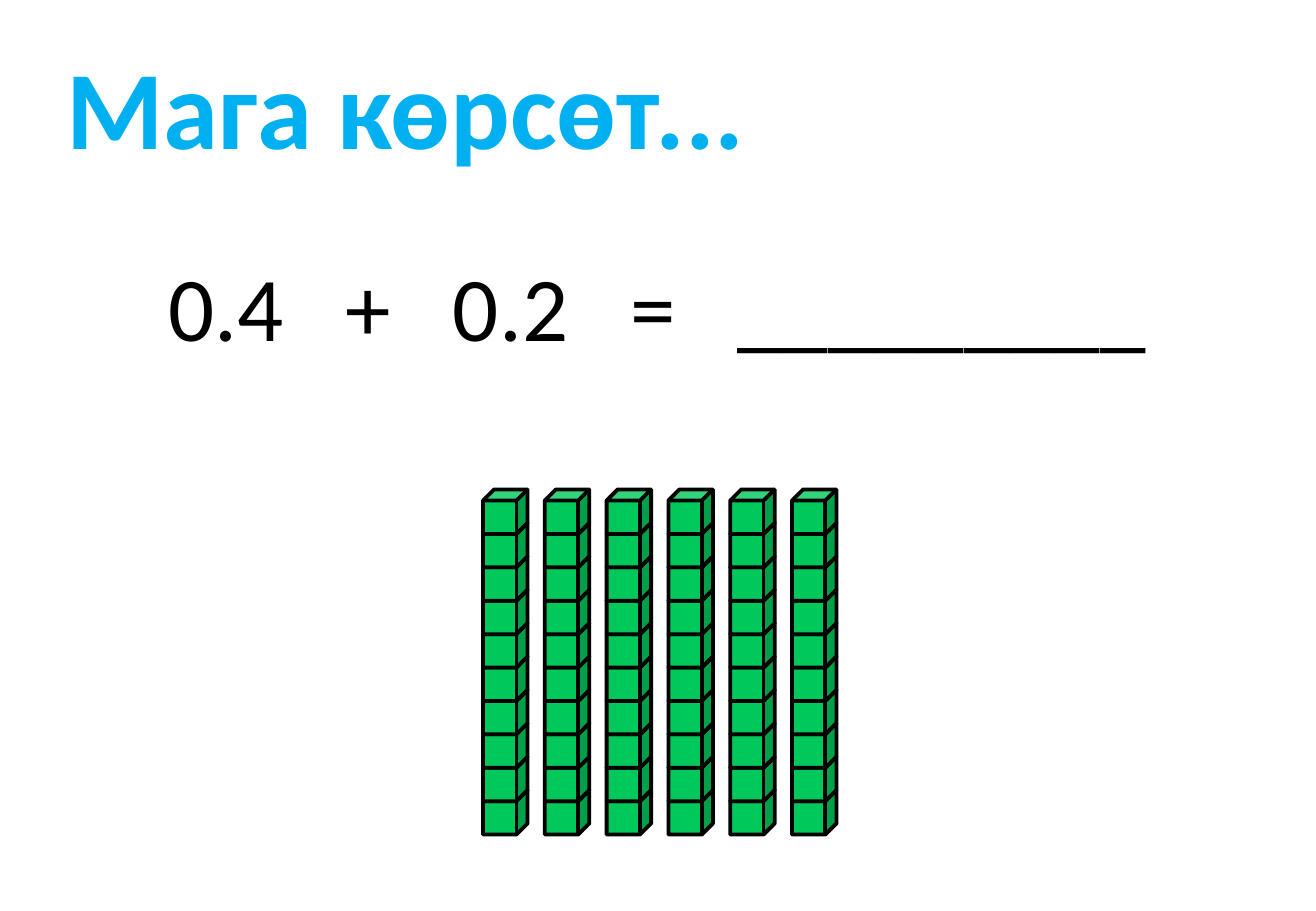
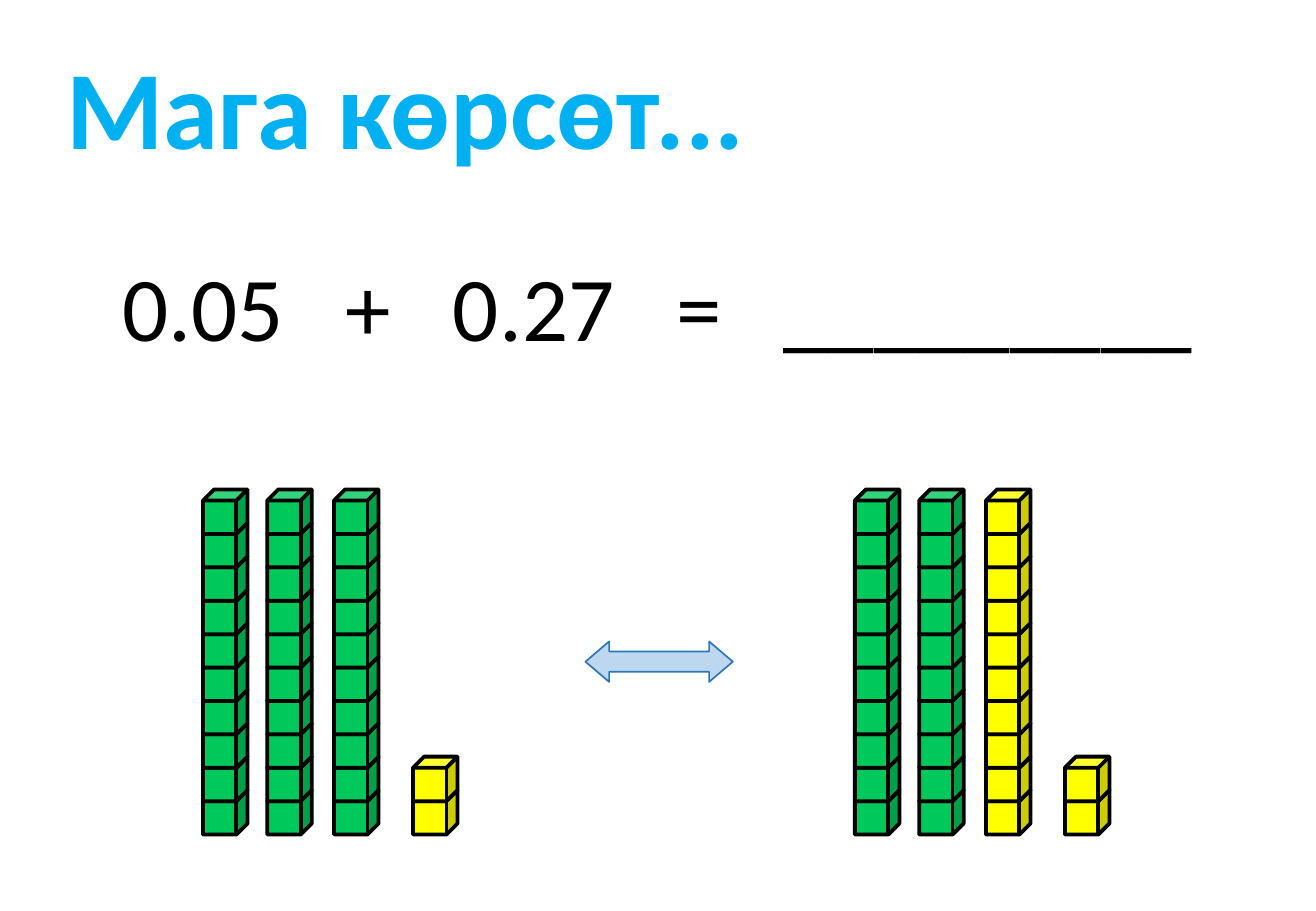
from lxml.etree import SubElement
from pptx import Presentation
from pptx.dml.color import RGBColor as RGB
from pptx.enum.shapes import MSO_SHAPE as Shape
from pptx.enum.text import MSO_ANCHOR as Anchor, PP_ALIGN as Align
from pptx.oxml.ns import qn
from pptx.util import Pt

HUES = {"title": "00B0F0", "text": "000000", "green": "00C85A",
        "yellow": "FFFF00", "arrow": "BDD7EE", "edge": "2E75B6"}
FONT = "Calibri"
CUBE = 26.4
STEP = CUBE * 0.75   # a stacked cube hides the top face of the one below
BASE = 468.3         # top of the lowest cube
DIGIT = 27.4         # width of one digit at 54 pt


def style(frame, size, hue, bold=False):
    for run in frame.paragraphs[0].runs:
        font = run.font
        font.name, font.size, font.bold = FONT, Pt(size), bold
        font.color.rgb = RGB.from_string(HUES[hue])


def draw(shapes, kind, box, fill, line, width):
    """Add a filled and outlined preset shape; box is in points."""
    item = shapes.add_shape(kind, *map(Pt, box))
    item.shadow.inherit = False
    item.fill.solid()
    item.fill.fore_color.rgb = RGB.from_string(HUES[fill])
    item.line.color.rgb = RGB.from_string(HUES[line])
    item.line.width = Pt(width)
    return item


# Each rod: left edge, number of cubes, colour
tenths = [(286.3 + 36.62 * i, 10, "green") for i in range(6)]
spots = [120.3, 158.4, 198, 244.8]
mixed = [(left + shift, count, hue)
         for shift, third in ((0, "green"), (386.4, "yellow"))
         for left, count, hue in zip(spots, (10, 10, 10, 2),
                                     ("green", "green", third, "yellow"))]
TASKS = [("0.4", "0.2", tenths), ("0.05", "0.27", mixed)]

deck = Presentation()
deck.slide_width, deck.slide_height = Pt(780), Pt(540)

for first, second, rods in TASKS:
    slide = deck.slides.add_slide(deck.slide_layouts[5])
    shapes = slide.shapes

    title = shapes.title
    title.left, title.top, title.width, title.height = map(
        Pt, (17.3, 18.7, 543, 87))
    frame = title.text_frame
    frame.text = "Мага көрсөт..."
    frame.margin_left = Pt(22)
    frame.vertical_anchor = Anchor.MIDDLE
    frame.paragraphs[0].alignment = Align.LEFT
    style(frame, 66, "title", True)

    # Extra digits widen the sum equally on both sides
    extra = DIGIT * (len(first) - 3)
    box = shapes.add_textbox(Pt(90 - extra), Pt(144.7),
                             Pt(600 + 2 * extra), Pt(73))
    frame = box.text_frame
    frame.word_wrap = True
    frame.margin_left = Pt(10)
    frame.text = "\t".join([first, "+", second, "=", "_________"])
    tabs = SubElement(frame.paragraphs[0]._p.get_or_add_pPr(), qn("a:tabLst"))
    for stop, grow in ((105, 1), (168.5, 1), (273.5, 2), (337, 2)):
        SubElement(tabs, qn("a:tab"), pos=str(int(Pt(stop + grow * extra))),
                   algn="l")
    style(frame, 54, "text")

    for left, count, hue in rods:
        rod = shapes.add_group_shape()
        for i in range(count):
            draw(rod.shapes, Shape.CUBE,
                 (left, BASE - i * STEP, CUBE, CUBE), hue, "text", 2.25)

    if rods is mixed:
        arrow = draw(shapes, Shape.LEFT_RIGHT_ARROW,
                     (347, 380.2, 87.4, 24), "arrow", "edge", 1)
        arrow.adjustments[1] = 0.586

deck.save("out.pptx")
